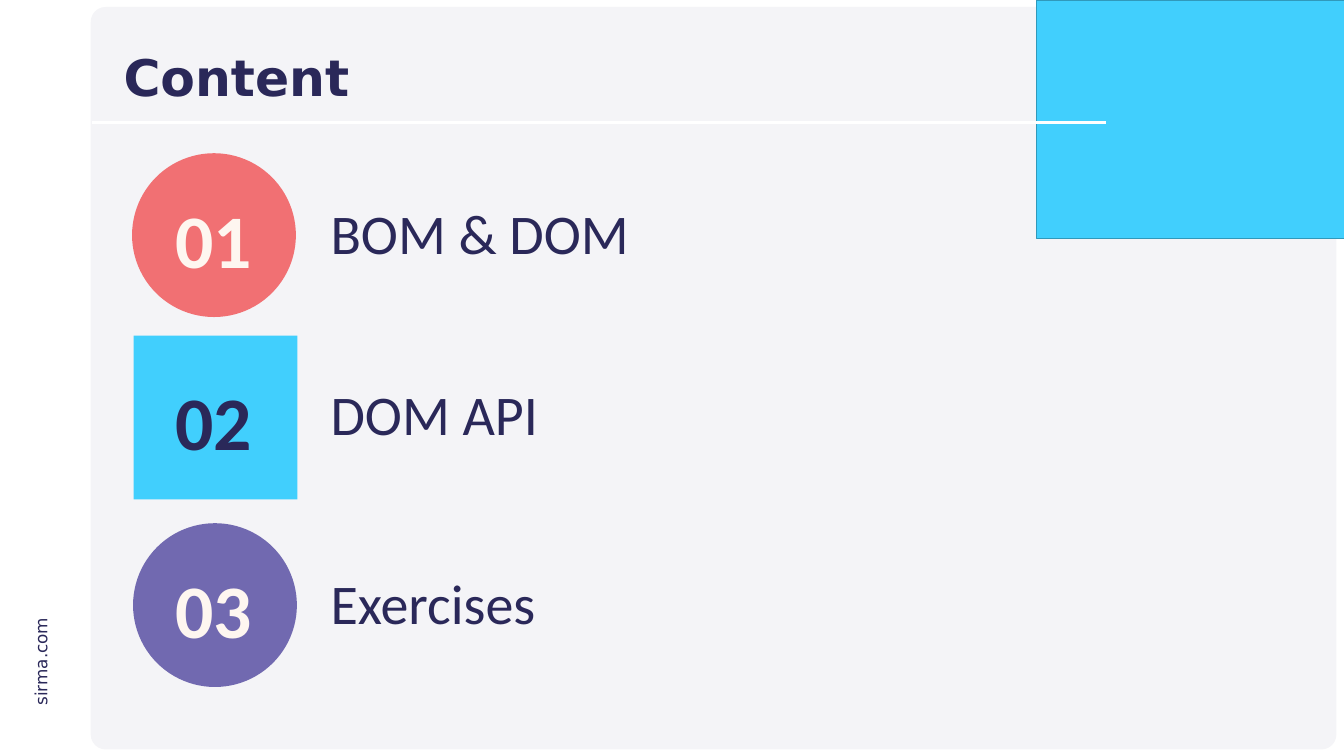
from pptx import Presentation
from pptx.dml.color import RGBColor
from pptx.enum import shapes, text
from pptx.oxml import ns, xmlchemy
from pptx.util import Pt

NAVY = RGBColor(0x2A, 0x28, 0x59)
CYAN = RGBColor(0x41, 0xCF, 0xFD)
CYAN_EDGE = RGBColor(0x30, 0x99, 0xBB)
CORAL = RGBColor(0xF1, 0x70, 0x73)
PURPLE = RGBColor(0x71, 0x69, 0xB0)
CREAM = RGBColor(0xFE, 0xF6, 0xF0)
PANEL = RGBColor(0xF4, 0xF4, 0xF7)
WHITE = RGBColor(0xFF, 0xFF, 0xFF)

KIND = shapes.MSO_SHAPE
TILE = 234
NUMBER_WIDTH = 268
NUMBER_CENTER = 305.5

TOPICS = [
    ("01", "BOM & DOM", KIND.OVAL, CORAL, CREAM, 188.6, 218.9, 280),
    ("02", "DOM API", KIND.RECTANGLE, CYAN, NAVY, 190.8, 479.5, 538.6),
    ("03", "Exercises", KIND.OVAL, PURPLE, CREAM, 190, 747.4, 808.6),
]


def add_block(page, kind, left, top, width, height, color, edge=None):
    block = page.shapes.add_shape(kind, Pt(left), Pt(top), Pt(width), Pt(height))
    block.shadow.inherit = False
    block.fill.solid()
    block.fill.fore_color.rgb = color
    if edge is None:
        block.line.fill.background()
    else:
        block.line.color.rgb = edge
        block.line.width = Pt(1)
    return block


def add_rule(page, left, right, top):
    rule = page.shapes.add_connector(
        shapes.MSO_CONNECTOR.STRAIGHT, Pt(left), Pt(top), Pt(right), Pt(top))
    rule.line.color.rgb = WHITE
    rule.line.width = Pt(3)
    rule._element.spPr.append(xmlchemy.OxmlElement("a:effectLst"))


def write(box, words, size, font, color, bold=False,
          align=text.PP_ALIGN.LEFT, anchor=text.MSO_ANCHOR.TOP, wrap=True):
    frame = box.text_frame
    frame.text = words
    frame.word_wrap = wrap
    frame.auto_size = text.MSO_AUTO_SIZE.NONE
    frame.vertical_anchor = anchor
    para = frame.paragraphs[0]
    para.alignment = align
    span = para.runs[0].font
    span.size = Pt(size)
    span.name = font
    span.bold = bold
    span.color.rgb = color
    return para


def add_text(page, left, top, width, height, *content, **style):
    box = page.shapes.add_textbox(Pt(left), Pt(top), Pt(width), Pt(height))
    write(box, *content, **style)
    return box


def add_frame(page):
    panel = add_block(page, KIND.ROUNDED_RECTANGLE, 129.6, 10, 1779, 1060.6, PANEL)
    panel.adjustments[0] = 0.02
    address = add_text(page, -13, 926, 142, 36, "sirma.com", 24,
                       "DejaVu Sans", NAVY, wrap=False)
    address.rotation = 270
    add_block(page, KIND.RECTANGLE, 1480, 0, 439.5, 340.6, CYAN, CYAN_EDGE)
    add_block(page, KIND.RECTANGLE, 131.8, 38.2, 1320.5, 171.4, PANEL)
    add_rule(page, 131.8, 1579, 175)


def place_title(page, words):
    title = page.shapes.title
    page.shapes._spTree.append(title._element)
    title.left, title.top = Pt(169.2), Pt(57.6)
    title.width, title.height = Pt(1409), Pt(113.8)
    para = write(title, words, 72, "DejaVu Sans", NAVY, bold=True,
                 anchor=text.MSO_ANCHOR.MIDDLE)
    para.line_spacing = 0.9


def add_topic(page, number, label, kind, color, ink, left, top, label_top):
    add_block(page, kind, left, top, TILE, TILE, color)
    add_text(page, NUMBER_CENTER - NUMBER_WIDTH / 2, top + 51.6, NUMBER_WIDTH, 138.2,
             number, 108, "Calibri", ink, bold=True,
             align=text.PP_ALIGN.CENTER, anchor=text.MSO_ANCHOR.BOTTOM)
    add_text(page, 465, label_top, 1060, 104.4, label, 80, "Calibri", NAVY)


def main():
    deck = Presentation()
    deck.slide_width, deck.slide_height = Pt(1919.5), Pt(1080)
    page = deck.slides.add_slide(deck.slide_layouts[5])
    add_frame(page)
    place_title(page, "Content")
    for topic in TOPICS:
        add_topic(page, *topic)
    deck.save("out.pptx")


if __name__ == "__main__":
    main()
